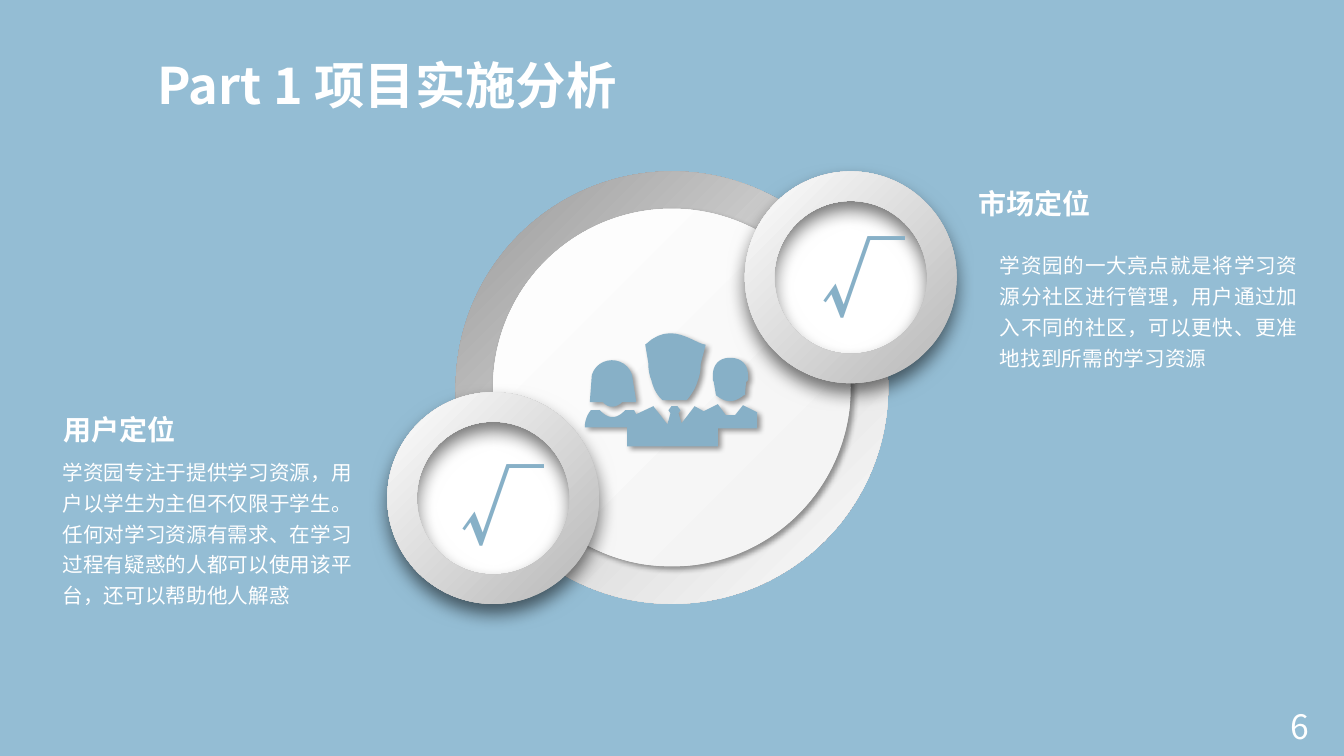
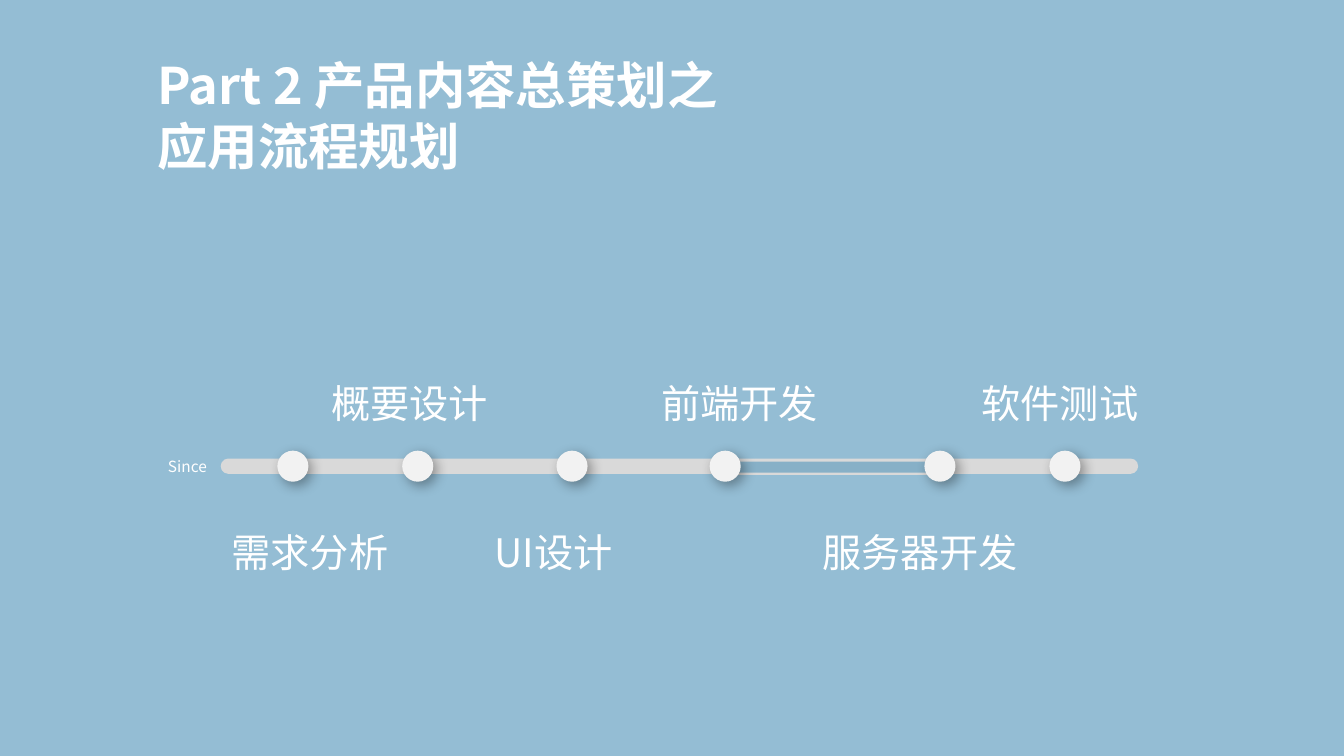
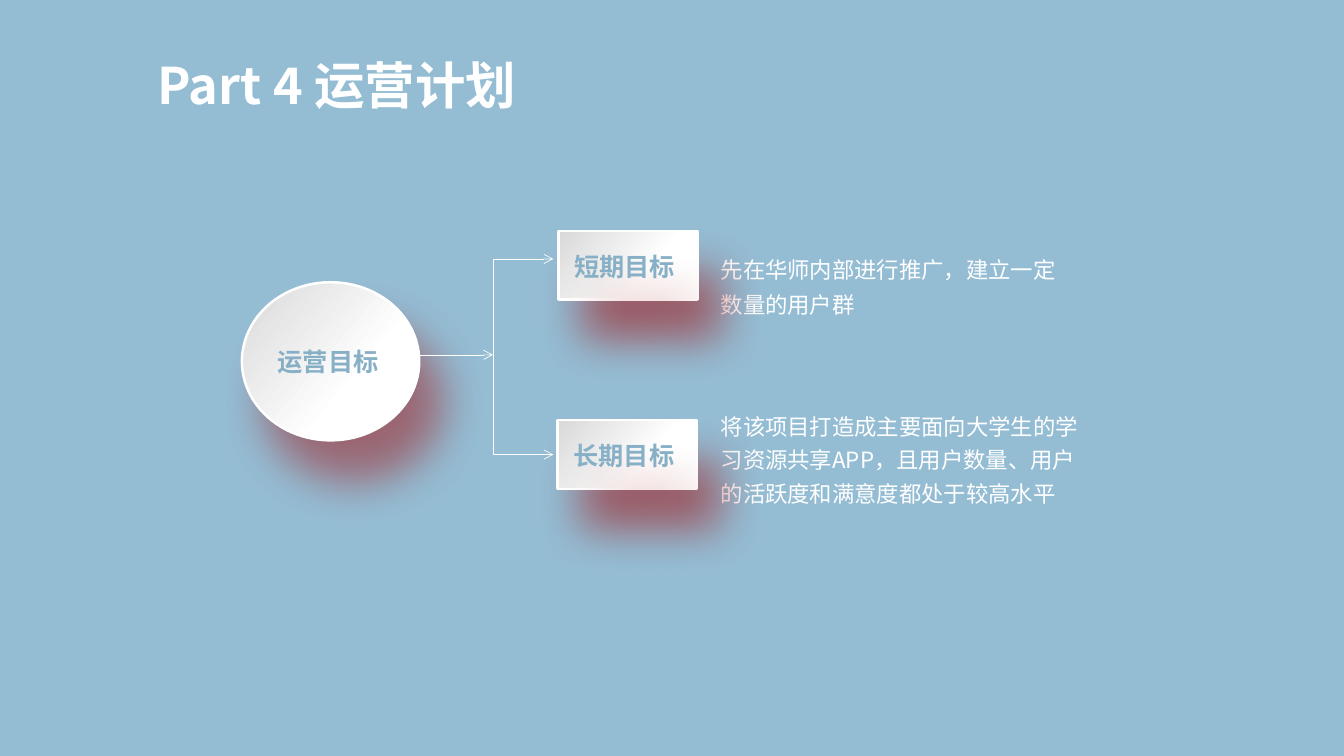
from dataclasses import dataclass
from typing import NamedTuple

from lxml import etree
from pptx import Presentation
from pptx.dml.color import RGBColor
from pptx.enum.shapes import MSO_CONNECTOR, MSO_SHAPE
from pptx.enum.text import MSO_ANCHOR, MSO_AUTO_SIZE, PP_ALIGN
from pptx.oxml import parse_xml
from pptx.oxml.ns import nsdecls, qn
from pptx.util import Pt

OVAL, DONUT, RECT, PILL = (MSO_SHAPE.OVAL, MSO_SHAPE.DONUT,
                           MSO_SHAPE.RECTANGLE, MSO_SHAPE.ROUNDED_RECTANGLE)
STRAIGHT, ELBOW = MSO_CONNECTOR.STRAIGHT, MSO_CONNECTOR.ELBOW
LEFT, CENTER, RIGHT, JUSTIFY = (PP_ALIGN.LEFT, PP_ALIGN.CENTER,
                                PP_ALIGN.RIGHT, PP_ALIGN.JUSTIFY)
TOP, MIDDLE = MSO_ANCHOR.TOP, MSO_ANCHOR.MIDDLE
GROW, FIXED = MSO_AUTO_SIZE.SHAPE_TO_FIT_TEXT, MSO_AUTO_SIZE.NONE
TITLE_ONLY, TWO_CONTENT, COMPARISON = 5, 3, 4


@dataclass(frozen=True)
class Theme:
    sky: str = "94BDD4"
    accent: str = "87B0C7"
    white: str = "FFFFFF"
    dot: str = "F2F2F2"
    track: str = "D9D9D9"
    sans: str = "Noto Sans CJK SC"
    sans_alt: str = "Noto Sans CJK JP"
    title: float = 36
    step: float = 28
    number: float = 24
    heading: float = 20
    goal: float = 18
    plan: float = 16
    body: float = 14.7
    caption: float = 11
    root: float = 60
    # Gradients: stops, angle
    ring: tuple = (((0, "979797"), (50, "D7D7D7"), (100, "FFFFFF")), 45)
    disc: tuple = (((0, "F2F2F2"), (100, "FFFFFF")), 45)
    knob: tuple = (((12, "BFBFBF"), (100, "FFFFFF")), 45)
    card: tuple = (((0, "FFFFFF"), (36, "FFFFFF"), (100, "D9D9D9")), 220)
    # Shadows: colour, opacity %, blur, distance, direction
    thin_shadow: tuple = ("000000", 40, 4, 3, 45)
    knob_shadow: tuple = ("000000", 54, 13, 7, 90)
    dot_shadow: tuple = ("000000", 35, 9, 4, 45)
    card_shadow: tuple = ("A21011", 50, 33, 33, 60)


THEME = Theme()


class Box(NamedTuple):
    x: float
    y: float
    w: float
    h: float

    def inner(self, dx, dy, w, h):
        return Box(self.x + dx, self.y + dy, w, h)

    def lengths(self):
        return [Pt(value) for value in self]


def around(cx, cy, radius):
    return Box(cx - radius, cy - radius, 2 * radius, 2 * radius)


# Shared drawing helpers

def write(holder, text, *, size, color=THEME.white, font=THEME.sans, bold=False,
          align=LEFT, spacing=1.0, anchor=TOP, wrap=True, fit=GROW):
    frame = holder.text_frame
    frame.text = text
    frame.word_wrap = wrap
    frame.auto_size = fit
    frame.vertical_anchor = anchor
    for paragraph in frame.paragraphs:
        paragraph.alignment = align
        paragraph.line_spacing = spacing
        paragraph.space_before = Pt(0)
        props = paragraph._p.get_or_add_pPr()
        props.set("marL", "0")
        props.set("indent", "0")
        etree.SubElement(props, qn("a:buNone"))
        for run in paragraph.runs:
            run.font.size = Pt(size)
            run.font.bold = bold
            run.font.color.rgb = RGBColor.from_string(color)
            run.font.name = font
            east_asian = etree.SubElement(run._r.get_or_add_rPr(), qn("a:ea"))
            east_asian.set("typeface", font)


def place(holder, box):
    holder.left, holder.top, holder.width, holder.height = box.lengths()
    return holder


def label(slide, box, text, **text_format):
    holder = slide.shapes.add_textbox(*box.lengths())
    write(holder, text, **text_format)
    return holder


def cast_shadow(shape, shadow):
    color, opacity, blur, distance, direction = shadow
    shape.shadow.inherit = False
    shape._element.spPr.find(qn("a:effectLst")).append(parse_xml(
        f'<a:outerShdw {nsdecls("a")} blurRad="{Pt(blur)}" dist="{Pt(distance)}" '
        f'dir="{direction * 60000}" algn="ctr" rotWithShape="0">'
        f'<a:srgbClr val="{color}"><a:alpha val="{opacity * 1000}"/></a:srgbClr>'
        '</a:outerShdw>'))


def style(shape, fill, line=None, shadow=None):
    if isinstance(fill, str):
        shape.fill.solid()
        shape.fill.fore_color.rgb = RGBColor.from_string(fill)
    else:
        stops, angle = fill
        marks = "".join(f'<a:gs pos="{at * 1000}"><a:srgbClr val="{color}"/></a:gs>'
                        for at, color in stops)
        shape.fill.background()
        props = shape._element.spPr
        props.replace(props.find(qn("a:noFill")), parse_xml(
            f'<a:gradFill {nsdecls("a")} rotWithShape="1"><a:gsLst>{marks}</a:gsLst>'
            f'<a:lin ang="{angle * 60000}" scaled="0"/></a:gradFill>'))
    if line:
        color, width = line
        shape.line.color.rgb = RGBColor.from_string(color)
        shape.line.width = Pt(width)
    else:
        shape.line.fill.background()
    shape.shadow.inherit = False
    if shadow:
        cast_shadow(shape, shadow)
    return shape


def draw(slide, kind, box, fill, line=None, shadow=None, adjust=None, rotation=0):
    shape = slide.shapes.add_shape(kind, *box.lengths())
    if adjust is not None:
        shape.adjustments[0] = adjust
    shape.rotation = rotation
    return style(shape, fill, line, shadow)


def arrow(slide, kind, x1, y1, x2, y2):
    link = slide.shapes.add_connector(kind, Pt(x1), Pt(y1), Pt(x2), Pt(y2))
    link.line.color.rgb = RGBColor.from_string(THEME.white)
    link.line.width = Pt(0.5)
    props = link._element.spPr
    etree.SubElement(props.find(qn("a:ln")), qn("a:tailEnd")).set("type", "arrow")
    etree.SubElement(props, qn("a:effectLst"))
    return link


def corner_arrow(slide, x1, y1, x2, y2):
    """Runs vertically first, then right to its head."""
    across, rise = x2 - x1, abs(y2 - y1)
    left, top = (x1 + x2 - rise) / 2, (y1 + y2 - across) / 2
    link = arrow(slide, ELBOW, left, top, left + rise, top + across)
    props = link._element.spPr
    props.find(qn("a:prstGeom")).set("prst", "bentConnector2")
    frame = props.find(qn("a:xfrm"))
    frame.set("rot", str((270 if y2 > y1 else 90) * 60000))
    frame.set("flipH", "1")
    if y2 < y1:
        frame.set("flipV", "1")


def new_slide(deck, layout, title, box):
    slide = deck.slides.add_slide(deck.slide_layouts[layout])
    write(place(slide.shapes.title, box), title,
          size=THEME.title, bold=True, wrap=False)
    return slide


# Team icon: two numbers are a corner, six numbers a cubic curve

TEAM = (
    ((5, 82), (18, 82), (23, 88, 31, 88, 37, 82), (51, 82),
     (50, 73, 48, 64, 47, 55), (40, 35, 13, 36, 7, 55)),
    ((118, 91), (132, 84), (140, 95), (149, 95), (157, 85), (171, 92), (171, 108),
     (132, 108), (132, 126), (42, 126), (42, 107), (0, 107), (0, 101, 2, 95, 6, 90),
     (15, 90), (23, 99, 32, 99, 40, 90), (49, 90), (51, 94), (68, 86), (82, 104),
     (85, 93), (83, 90), (86, 86), (92, 86), (95, 90), (93, 93), (96, 103), (109, 86)),
    ((162, 56), (162, 44, 155, 38, 144, 38), (134, 38, 127, 44, 127, 56), (127, 60),
     (128, 62), (130, 74), (130, 75), (140, 83, 148, 83, 158, 75), (159, 75),
     (159, 74), (160, 62), (162, 60)),
    ((115, 44), (120, 25), (108, 24, 86, 0, 60, 25), (63, 43),
     (63, 49, 64, 55, 66, 60), (68, 68, 71, 74, 76, 79), (77, 80), (101, 80),
     (102, 79), (106, 74, 110, 68, 112, 61), (114, 56, 115, 50, 115, 44)),
)
TEAM_WIDTH = 171
FINE = 100
CURVE_STEPS = 12


def trace(outline):
    points = []
    for entry in outline:
        if len(entry) == 2:
            points.append(entry)
            continue
        controls = (points[-1], entry[:2], entry[2:4], entry[4:])
        for step in range(1, CURVE_STEPS + 1):
            t = step / CURVE_STEPS
            weights = ((1 - t) ** 3, 3 * t * (1 - t) ** 2, 3 * t * t * (1 - t), t ** 3)
            points.append(tuple(sum(k * p[axis] for k, p in zip(weights, controls))
                                for axis in (0, 1)))
    return [(x * FINE, y * FINE) for x, y in points]


def team_icon(slide, box):
    first, *others = [trace(outline) for outline in TEAM]
    builder = slide.shapes.build_freeform(*first[0], scale=Pt(box.w) / TEAM_WIDTH / FINE)
    builder.add_line_segments(first[1:], close=True)
    for outline in others:
        builder.move_to(*outline[0])
        builder.add_line_segments(outline[1:], close=True)
    style(builder.convert_to_shape(Pt(box.x), Pt(box.y)),
          THEME.accent, shadow=THEME.thin_shadow)


# Slide 1: positioning

def knob(slide, box):
    rim = 16.5
    draw(slide, OVAL, box.inner(rim, rim, box.w - 2 * rim, box.h - 2 * rim), THEME.white)
    draw(slide, DONUT, box, THEME.knob, shadow=THEME.knob_shadow,
         adjust=0.139, rotation=180)


def dial(slide, box):
    rim = 26.7
    draw(slide, DONUT, box, THEME.ring, adjust=0.096)
    draw(slide, OVAL, box.inner(rim, rim, box.w - 2 * rim, box.h - 2 * rim),
         THEME.disc, shadow=THEME.thin_shadow, rotation=180)
    cx, cy = box.x + box.w / 2, box.y + box.h / 2
    knobs = (((-127.7, 78.9), (-30.3, -34.6)), ((127.7, -78.8), (-28.1, -39.6)))
    for (dx, dy), _ in knobs:
        knob(slide, around(cx + dx, cy + dy, 75.6))
    team_icon(slide, box.inner(92.2, 105.8, 123.1, 90.7))
    for (dx, dy), (root_x, root_y) in knobs:
        label(slide, Box(cx + dx + root_x, cy + dy + root_y, 56.9, 79.9), "√",
              size=THEME.root, color=THEME.accent, bold=True, wrap=False)


def positioning(slide, box):
    topics = (
        (1, "用户定位", box.inner(28.8, 283.7, 103.7, 35.3), RIGHT,
         "学资园专注于提供学习资源，用户以学生为主但不仅限于学生。任何对学习资源有需求、"
         "在学习过程有疑惑的人都可以使用该平台，还可以帮助他人解惑",
         box.inner(37.4, 320.4, 229, 116.6), LEFT),
        (3, "市场定位", box.inner(691.9, 122.4, 190.8, 35.3), LEFT,
         "学资园的一大亮点就是将学习资源分社区进行管理，用户通过加入不同的社区，"
         "可以更快、更准地找到所需的学习资源",
         box.inner(707, 172.8, 226.8, 94.3), JUSTIFY),
    )
    for index, heading, heading_box, heading_align, detail, detail_box, align in topics:
        write(place(slide.placeholders[index], heading_box), heading,
              size=THEME.heading, font=THEME.sans_alt, bold=True,
              align=heading_align, spacing=1.3)
        write(place(slide.placeholders[index + 1], detail_box), detail,
              size=THEME.body, align=align, spacing=1.25)
    dial(slide, box.inner(325.5, 122.4, 308.9, 308.9))
    label(slide, box.inner(726.5, 504, 216, 28.8), "6", size=THEME.number,
          font=THEME.sans_alt, align=RIGHT, anchor=MIDDLE, fit=FIXED)


# Slide 2: process timeline

def timeline(slide, box):
    steps = (("需求分析", 50.8, 0), ("概要设计", 140, 71.3), ("UI设计", 250.2, 187.9),
             ("前端开发", 359.6, 306.7), ("服务器开发", 513, 421.9),
             ("软件测试", 602.3, 535.7))
    axis = 76
    edge = (THEME.track, 1.5)
    draw(slide, PILL, box.inner(0, axis - 4.7, box.w, 9.4), THEME.track, edge, adjust=0.5)
    draw(slide, PILL, box.inner(362.2, axis - 4, 160.6, 9.4), THEME.accent, edge, adjust=0.5)
    label(slide, box.inner(-68.4, 65.6, 87.8, 20.9), "Since",
          size=THEME.caption, align=CENTER)
    for index, (name, dot_x, name_x) in enumerate(steps):
        draw(slide, OVAL, around(box.x + dot_x, box.y + axis, 11.1),
             THEME.dot, shadow=THEME.dot_shadow)
        name_y = 0 if index % 2 else 106.6
        label(slide, box.inner(name_x, name_y, 160.6, 46.8), name,
              size=THEME.step, spacing=1.3)


# Slide 3: operation goals

def goal_card(slide, box, name):
    draw(slide, RECT, box, THEME.card, (THEME.white, 1.75), THEME.card_shadow)
    caption = label(slide, box.inner(4.3, 4, box.w, 42.5), name, size=THEME.goal,
                    color=THEME.accent, bold=True, anchor=MIDDLE, fit=FIXED)
    cast_shadow(caption, THEME.card_shadow)


def goal_tree(slide, box):
    goals = (
        (1, "短期目标", box.inner(226.1, 0, 99.4, 49), 20.1,
         "先在华师内部进行推广，建立一定数量的用户群",
         box.inner(334.8, 8.6, 262.8, 57.6), 1.3),
        (2, "长期目标", box.inner(225.4, 135.3, 99.4, 49), 159.8,
         "将该项目打造成主要面向大学生的学习资源共享APP，且用户数量、"
         "用户的活跃度和满意度都处于较高水平",
         box.inner(334.8, 121.7, 283, 79.9), 1.25),
    )
    root = draw(slide, OVAL, box.inner(0, 36.7, 126.7, 113), THEME.card,
                (THEME.white, 1.75), THEME.card_shadow)
    write(root, "运营目标", size=THEME.goal, color=THEME.accent, bold=True,
          anchor=MIDDLE, fit=FIXED)
    fork_x = box.x + 179.3
    arrow(slide, STRAIGHT, box.x + 126.7, box.y + 88.6, fork_x, box.y + 88.6)
    for index, name, card, head_y, plan, plan_box, spacing in goals:
        write(place(slide.placeholders[index], plan_box), plan,
              size=THEME.plan, font=THEME.sans_alt, spacing=spacing)
        corner_arrow(slide, fork_x, box.y + 81.4, box.x + 222.5, box.y + head_y)
        goal_card(slide, card, name)


def build():
    deck = Presentation()
    deck.slide_width, deck.slide_height = Pt(960), Pt(540)
    backdrop = deck.slide_master.background.fill
    backdrop.solid()
    backdrop.fore_color.rgb = RGBColor.from_string(THEME.sky)
    title = Box(105.1, 35.3, 352.1, 51.1)

    analysis = new_slide(deck, COMPARISON, "Part 1 项目实施分析", title)
    positioning(analysis, Box(0, 0, 960, 540))

    process = new_slide(deck, TITLE_ONLY, "Part 2 产品内容总策划之\n应用流程规划",
                        title._replace(w=424.8, h=138.2))
    timeline(process, Box(158.4, 257, 653.8, 153.4))

    operation = new_slide(deck, TWO_CONTENT, "Part 4 运营计划", title._replace(w=279.4))
    goal_tree(operation, Box(172.8, 164.9, 617.8, 201.6))

    deck.save("out.pptx")


build()
